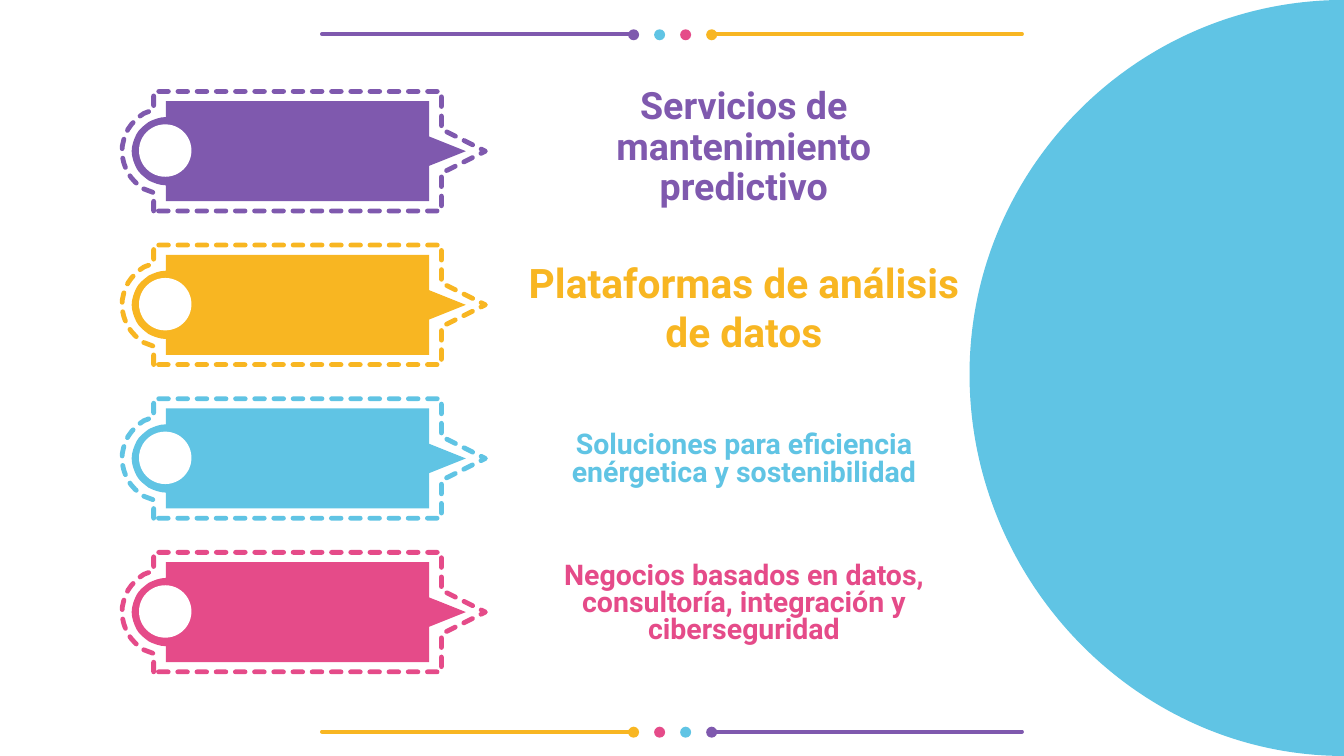
from lxml.etree import SubElement
from pptx import Presentation
from pptx.dml.color import RGBColor
from pptx.enum.dml import MSO_LINE
from pptx.enum.shapes import MSO_CONNECTOR, MSO_SHAPE
from pptx.enum.text import MSO_ANCHOR, PP_ALIGN
from pptx.oxml.ns import qn
from pptx.util import Inches, Pt

PURPLE = RGBColor(0x7F, 0x59, 0xAE)
YELLOW = RGBColor(0xF8, 0xB6, 0x22)
BLUE = RGBColor(0x60, 0xC4, 0xE4)
PINK = RGBColor(0xE5, 0x4B, 0x89)
WHITE = RGBColor(0xFF, 0xFF, 0xFF)

prs = Presentation()
prs.slide_width, prs.slide_height = Inches(11.02), Inches(6.2)
s = prs.slides.add_slide(prs.slide_layouts[6])


def paint(sp, color):
    sp.shadow.inherit = False
    sp.fill.solid()
    sp.fill.fore_color.rgb = color
    sp.line.fill.background()
    return sp


def add_outline(color, points, first, curves):
    pts = [(Inches(x), Inches(y)) for x, y in points]
    fb = s.shapes.build_freeform(*pts[0])
    fb.add_line_segments(pts[1:], close=True)
    sp = fb.convert_to_shape()
    steps = list(sp._element.iter(qn("a:lnTo")))[first:first + 3 * curves]
    for k in range(0, len(steps), 3):
        curve, *rest = steps[k:k + 3]
        curve.tag = qn("a:cubicBezTo")
        for step in rest:
            curve.append(step[0])
            step.getparent().remove(step)
    return paint(sp, color)


for y, colors in ((0.28, (PURPLE, BLUE, PINK, YELLOW)),
                  (6, (YELLOW, PINK, BLUE, PURPLE))):
    for x1, x2, color in ((2.64, 5.2, colors[0]), (5.83, 8.38, colors[-1])):
        ln = s.shapes.add_connector(MSO_CONNECTOR.STRAIGHT, Inches(x1), Inches(y),
                                    Inches(x2), Inches(y))
        ln.line.color.rgb = color
        ln.line.width = Pt(2.27)
        spPr = ln._element.spPr
        spPr.find(qn("a:ln")).set("cap", "rnd")
        SubElement(spPr, qn("a:effectLst"))
    for i, color in enumerate(colors):
        paint(s.shapes.add_shape(MSO_SHAPE.OVAL, Inches(5.15 + i * 0.64 / 3),
                                 Inches(y - 0.04), Inches(0.09), Inches(0.09)), color)

add_outline(BLUE, [(11.02, 0), (9.33, 0), (7.95, 1.38), (7.95, 3.07),
                   (7.95, 4.77), (9.33, 6.2), (11.02, 6.2)], 0, 2)

DASHED_HALF = [(1.26, 0.49), (1.26, 0.34), (1.23, 0.33), (1.21, 0.32), (1.18, 0.31),
               (1.13, 0.28), (1.08, 0.23), (1.05, 0.18), (1.02, 0.12), (1, 0.06),
               (1, 0), (3.98, 0), (3.62, 0.18), (3.62, 0.49)]
SOLID_HALF = [(1.36, 0.41), (1.36, 0.28), (1.31, 0.28), (1.26, 0.26), (1.22, 0.24),
              (1.18, 0.21), (1.14, 0.18), (1.12, 0.14), (1.1, 0.1), (1.08, 0.05),
              (1.08, 0), (3.82, 0), (3.52, 0.12), (3.52, 0.41)]

items = [
    (PURPLE, "Servicios de mantenimiento predictivo", 0.98, 22.2, 0.9),
    (YELLOW, "Plataformas de análisis de datos", 2.28, 24, 1.0),
    (BLUE, "Soluciones para eficiencia enérgetica y sostenibilidad", 3.54, 16.8, 0.8),
    (PINK, "Negocios basados en datos, consultoría, integración y ciberseguridad",
     4.72, 16.8, 0.8),
]

for i, (color, text, top, size, spacing) in enumerate(items):
    cy = 1.24 + i * 1.26
    for fill, half in ((WHITE, DASHED_HALF), (color, SOLID_HALF)):
        mirror = [(x, -dy) for x, dy in half]
        points = half[:11] + mirror[9::-1] + mirror[:10:-1] + half[12:]
        sp = add_outline(fill, [(x, cy + dy) for x, dy in points], 1, 6)
        if fill == WHITE:
            sp.line.color.rgb = color
            sp.line.width = Pt(2.83)
            sp.line.dash_style = MSO_LINE.SQUARE_DOT
            ln = sp._element.spPr.find(qn("a:ln"))
            ln.set("cap", "rnd")
            SubElement(ln, qn("a:round"))
    paint(s.shapes.add_shape(MSO_SHAPE.OVAL, Inches(1.14), Inches(cy - 0.22),
                             Inches(0.43), Inches(0.43)), WHITE)

    tf = s.shapes.add_textbox(Inches(4.33), Inches(top), Inches(3.54),
                              Inches(0.47)).text_frame
    frame_format = {"word_wrap": True, "vertical_anchor": MSO_ANCHOR.MIDDLE,
                    "margin_left": 0, "margin_right": 0,
                    "margin_top": 0, "margin_bottom": 0}
    for name, value in frame_format.items():
        setattr(tf, name, value)
    p = tf.paragraphs[0]
    p.alignment = PP_ALIGN.CENTER
    p.line_spacing = spacing
    r = p.add_run()
    r.text = text
    for name, value in {"name": "Roboto", "size": Pt(size), "bold": True}.items():
        setattr(r.font, name, value)
    r.font.color.rgb = color

prs.save("out.pptx")
